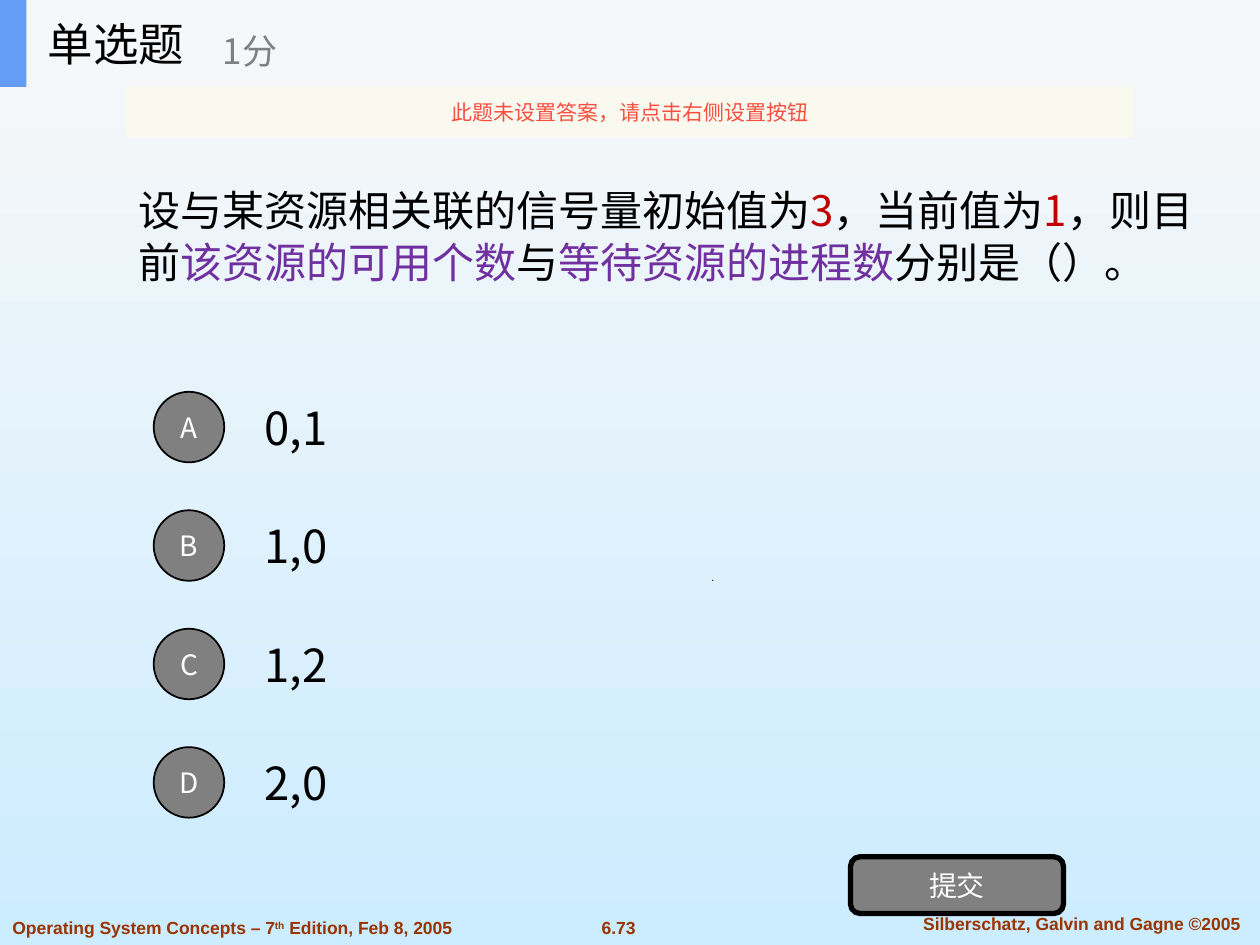
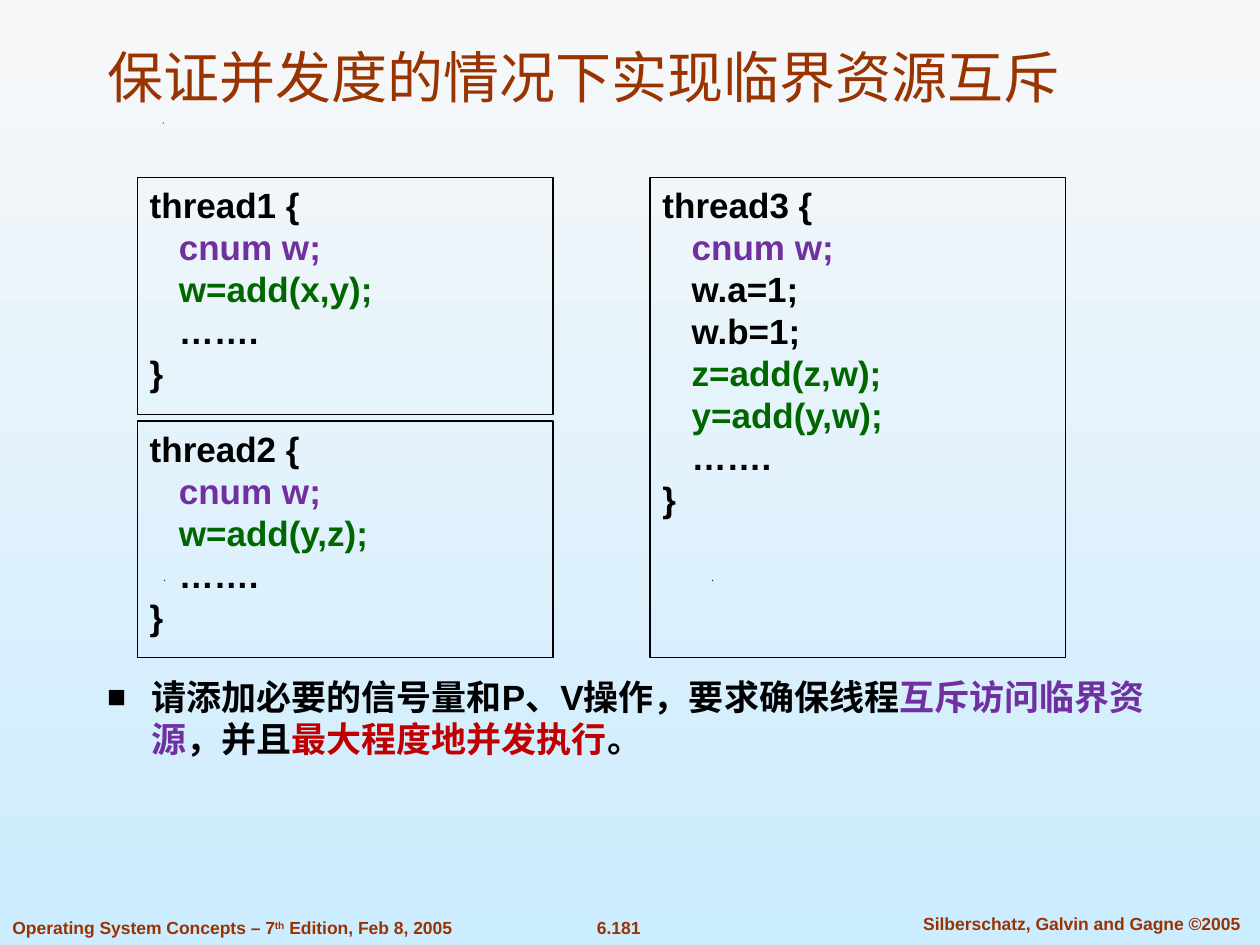
from lxml import etree
from pptx import Presentation
from pptx.dml.color import RGBColor
from pptx.enum.shapes import MSO_SHAPE as Shape
from pptx.enum.text import MSO_ANCHOR as Anchor, MSO_AUTO_SIZE as AutoSize, PP_ALIGN as Align
from pptx.oxml.ns import qn
from pptx.util import Inches, Pt

COLORS = {
    "sky_top": "F8F8F8", "sky_bottom": "CCECFF", "brown": "993300",
    "black": "000000", "white": "FFFFFF", "gray": "808080",
    "red": "C00000", "purple": "7030A0", "green": "006600",
    "header": "F6F7F8", "accent": "639EF4", "notice": "FBFAEF", "warning": "F84F41",
}
LATIN, CHINESE = "Arial", "Noto Sans CJK SC"


def rgb(name):
    return RGBColor.from_string(COLORS[name])


def place(shape, left, top, width, height):
    shape.left, shape.top = Inches(left), Inches(top)
    shape.width, shape.height = Inches(width), Inches(height)


def style_para(para, size, color="black", face=CHINESE, bold=False,
               align=Align.LEFT, line_height=None):
    para.alignment = align
    para.space_before = Pt(0)
    if line_height:
        para.line_spacing = Pt(line_height)
    font = para.font
    font.size, font.bold, font.name = Pt(size), bold, face
    font.color.rgb = rgb(color)
    etree.SubElement(font._rPr, qn("a:ea"), typeface=CHINESE)


def write(shape, lines, anchor=Anchor.MIDDLE, **style):
    """Each line is a list of (text, color) spans; a color of None keeps the base."""
    frame = shape.text_frame
    frame.word_wrap, frame.auto_size = True, AutoSize.NONE
    frame.vertical_anchor = anchor
    for index, spans in enumerate(lines):
        para = frame.add_paragraph() if index else frame.paragraphs[0]
        for text, color in spans:
            span = para.add_run()
            span.text = text
            if color:
                span.font.color.rgb = rgb(color)
        style_para(para, **style)


def add_text(page, text, at, **style):
    box = page.shapes.add_textbox(*map(Inches, at))
    write(box, [[(text, None)]], **style)
    return box


def add_block(page, kind, at, fill=None, line=None, line_width=1):
    block = page.shapes.add_shape(kind, *map(Inches, at))
    block.shadow.inherit = False
    if fill:
        block.fill.solid()
        block.fill.fore_color.rgb = rgb(fill)
    else:
        block.fill.background()
    if line:
        block.line.color.rgb = rgb(line)
        block.line.width = Pt(line_width)
    else:
        block.line.fill.background()
    return block


def set_bullet(para, char, left, hanging):
    props = para._p.get_or_add_pPr()
    props.set("marL", str(Inches(left)))
    props.set("indent", str(-Inches(hanging)))
    if char:
        etree.SubElement(props, qn("a:buSzPct"), val="90000")
        etree.SubElement(props, qn("a:buFont"), typeface=LATIN)
        etree.SubElement(props, qn("a:buChar"), char=char)
    else:
        etree.SubElement(props, qn("a:buNone"))


def add_speck(page, left, top):
    builder = page.shapes.build_freeform(Inches(left), Inches(top + 0.01))
    builder.add_line_segments([(Inches(left + 0.01), Inches(top)),
                               (Inches(left + 0.01), Inches(top + 0.01))])
    speck = builder.convert_to_shape()
    speck.shadow.inherit = False
    speck.fill.solid()
    speck.fill.fore_color.rgb = rgb("black")
    speck.line.fill.background()


def add_page(deck, number):
    page = deck.slides.add_slide(deck.slide_layouts[1])
    style = dict(size=10, color="brown", face=LATIN, bold=True, anchor=Anchor.TOP)
    # Footer: book, page number, copyright
    book = page.shapes.add_textbox(*map(Inches, (0, 7.23, 4.11, 0.27)))
    write(book, [[("Operating System Concepts – 7", None), ("th", None),
                  (" Edition, Feb 8, 2005", None)]], **style)
    ordinal = book.text_frame.paragraphs[0].runs[1]
    ordinal.font._element.set("baseline", "30000")
    add_text(page, number, (4.59, 7.23, 0.64, 0.27), align=Align.CENTER, **style)
    add_text(page, "Silberschatz, Galvin and Gagne ©2005", (7.1, 7.2, 2.97, 0.27),
             align=Align.CENTER, **style)
    add_speck(page, 5.65, 4.6)
    return page


def add_option(page, letter, answer, top):
    add_text(page, answer, (2, top, 7, 0.7), size=26)
    badge = add_block(page, Shape.OVAL, (1.22, top + 0.07, 0.56, 0.56), "gray", "black")
    write(badge, [[(letter, None)]], size=16, color="white", align=Align.CENTER)


def add_code(page, at, lines):
    def color_of(line):
        if "cnum" in line:
            return "purple"
        return "green" if "add(" in line else None

    box = add_block(page, Shape.RECTANGLE, at, line="black", line_width=0.75)
    write(box, [[(line, color_of(line))] for line in lines], anchor=Anchor.TOP,
          size=20, face=LATIN, bold=True, line_height=24)


def build_quiz(deck):
    page = add_page(deck, "6.73")
    title, question = page.placeholders

    # Header band behind the title
    for width, color in ((10, "header"), (0.21, "accent")):
        band = add_block(page, Shape.RECTANGLE, (0, 0, width, 0.69), color)
        title.element.addprevious(band.element)
    place(title, 0.28, 0, 2.08, 0.69)
    write(title, [[("单选题", None)]], size=26)
    add_text(page, "1分", (1.67, 0.12, 2.5, 0.56), size=20, color="gray")

    # Notice
    notice = add_block(page, Shape.RECTANGLE, (1, 0.69, 8, 0.4), "notice")
    fill_color = notice.element.spPr.find(qn("a:solidFill"))[0]
    etree.SubElement(fill_color, qn("a:alpha"), val="90000")
    write(notice, [[("此题未设置答案，请点击右侧设置按钮", None)]],
          size=12, color="warning", align=Align.CENTER)

    # Question
    place(question, 1, 0.69, 8.72, 2.34)
    set_bullet(question.text_frame.paragraphs[0], None, 0, 0)
    write(question, [[
        ("设与某资源相关联的信号量初始值为", None), ("3", "red"),
        ("，当前值为", None), ("1", "red"), ("，则目前", None),
        ("该资源的可用个数", "purple"), ("与", None),
        ("等待资源的进程数", "purple"), ("分别是（）。", None),
    ]], size=24, line_height=30)

    # Options and submit button
    for row, (letter, answer) in enumerate(zip("ABCD", ("0,1", "1,0", "1,2", "2,0"))):
        add_option(page, letter, answer, 3.04 + 0.94 * row)
    button = add_block(page, Shape.ROUNDED_RECTANGLE, (6.75, 6.8, 1.69, 0.45),
                       "gray", "black", 3)
    write(button, [[("提交", None)]], size=16, color="white", align=Align.CENTER)


def build_threads(deck):
    page = add_page(deck, "6.181")
    title, task = page.placeholders
    add_speck(page, 1.29, 0.97)
    add_speck(page, 1.3, 4.6)

    place(title, 0.75, 0.25, 8.83, 0.67)
    write(title, [[("保证并发度的情况下实现临界资源互斥", None)]], anchor=Anchor.BOTTOM,
          size=32, color="brown", face=LATIN)

    # Task
    place(task, 0.64, 5.31, 8.68, 0.98)
    set_bullet(task.text_frame.paragraphs[0], "■", 0.46, 0.35)
    write(task, [[
        ("请添加必要的信号量和P、V操作，要求确保线程", None),
        ("互斥访问临界资源", "purple"), ("，并且", None),
        ("最大程度地并发执行", "red"), ("。", None),
    ]], anchor=Anchor.TOP, size=20, face=LATIN, bold=True, line_height=24)

    # Thread code
    threads = (
        ((1.09, 1.41, 3.3, 1.88), ["w=add(x,y);"]),
        ((1.09, 3.34, 3.3, 1.88), ["w=add(y,z);"]),
        ((5.16, 1.41, 3.3, 3.81), ["w.a=1;", "w.b=1;", "z=add(z,w);", "y=add(y,w);"]),
    )
    for number, (at, steps) in enumerate(threads, 1):
        body = ["   " + step for step in ["cnum w;", *steps, "……."]]
        add_code(page, at, [f"thread{number} {{", *body, "}"])


def main():
    deck = Presentation()
    deck.slide_width, deck.slide_height = Inches(10), Inches(7.5)

    # Shared background
    sky = deck.slide_master.background.fill
    sky.gradient()
    sky.gradient_angle = 270
    for stop, color in zip(sky.gradient_stops, ("sky_top", "sky_bottom")):
        stop.color.rgb = rgb(color)

    build_quiz(deck)
    build_threads(deck)
    deck.save("out.pptx")


if __name__ == "__main__":
    main()
